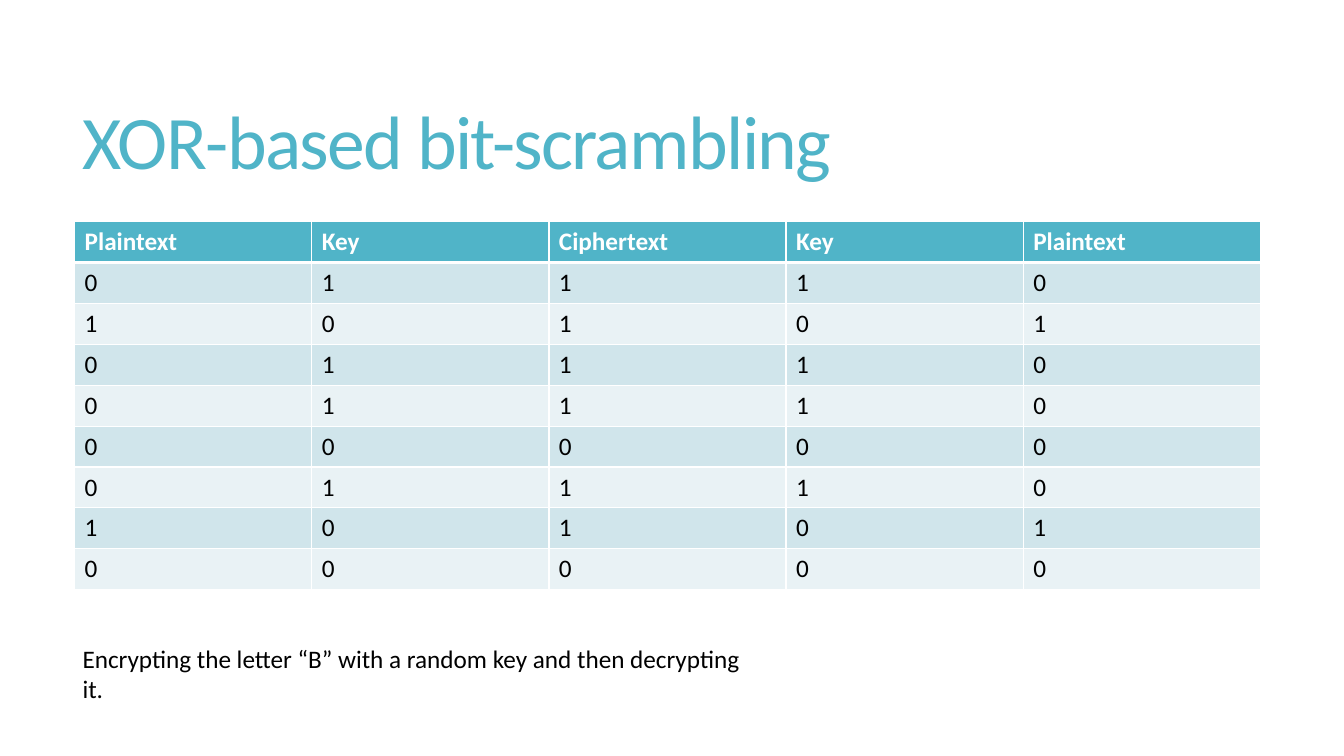
from lxml import etree
from pptx import Presentation
from pptx.dml.color import RGBColor
from pptx.enum.text import MSO_ANCHOR
from pptx.oxml.ns import qn
from pptx.util import Inches, Pt

MIDDLE = MSO_ANCHOR.MIDDLE
TOP = MSO_ANCHOR.TOP
FONT = "Calibri"
TEAL, WHITE, BLACK = "50B4C8", "FFFFFF", "000000"
BANDS = ("D0E5EB", "E9F2F5")
HEADERS = ("Plaintext", "Key", "Ciphertext", "Key", "Plaintext")
LETTER_BITS = format(ord("B"), "08b")
KEY_BITS = "10110100"


def color(value):
    return RGBColor.from_string(value)


def write(frame, text, size, fill, bold=False):
    para = frame.paragraphs[0]
    span = para.add_run()
    span.text = text
    formats = {"name": FONT, "size": Pt(size), "bold": bold}
    for name, value in formats.items():
        setattr(span.font, name, value)
    span.font.color.rgb = color(fill)
    return para, span


def add_text(page, box, text, size, fill, anchor):
    frame = page.shapes.add_textbox(*map(Inches, box)).text_frame
    formats = {"word_wrap": True, "vertical_anchor": anchor}
    for name, value in formats.items():
        setattr(frame, name, value)
    return write(frame, text, size, fill)


def add_title(page, box):
    para, span = add_text(page, box, "XOR-based bit-scrambling", 54, TEAL, MIDDLE)
    para.line_spacing = 0.85
    span.font._element.set("spc", "-120")


def add_caption(page, box):
    text = "Encrypting the letter “B” with a random key and then decrypting it."
    add_text(page, box, text, 18, BLACK, TOP)


def add_borders(cell, widths):
    properties = cell._tc.get_or_add_tcPr()
    for side, width in widths.items():
        line = etree.SubElement(properties, qn(f"a:ln{side}"), w=str(Pt(width)))
        paint = etree.SubElement(line, qn("a:solidFill"))
        etree.SubElement(paint, qn("a:srgbClr"), val=WHITE)


def bit_rows():
    for plain, key in zip(LETTER_BITS, KEY_BITS):
        cipher = str(int(plain) ^ int(key))
        yield plain, key, cipher, key, plain


def add_bit_table(page, box):
    rows = [HEADERS, *bit_rows()]
    shape = page.shapes.add_table(len(rows), len(HEADERS), *map(Inches, box))
    table = shape.table
    for column in table.columns:
        column.width = Inches(box[2] / len(HEADERS))
    for index, values in enumerate(rows):
        header = index == 0
        table.rows[index].height = Inches(box[3] / len(rows))
        widths = {"L": 1, "R": 1, "T": 3 if index == 1 else 1, "B": 3 if header else 1}
        for cell, value in zip(table.rows[index].cells, values):
            add_borders(cell, widths)
            cell.fill.solid()
            cell.fill.fore_color.rgb = color(TEAL if header else BANDS[(index - 1) % 2])
            write(cell.text_frame, value, 18, WHITE if header else BLACK, header)


def main():
    deck = Presentation()
    deck.slide_width, deck.slide_height = Inches(13.33), Inches(7.5)
    page = deck.slides.add_slide(deck.slide_layouts[6])
    add_title(page, (0.72, 0.55, 11.78, 1.81))
    add_bit_table(page, (0.74, 2.2, 11.76, 3.65))
    add_caption(page, (0.72, 6.33, 6.92, 0.4))
    deck.save("out.pptx")


if __name__ == "__main__":
    main()
